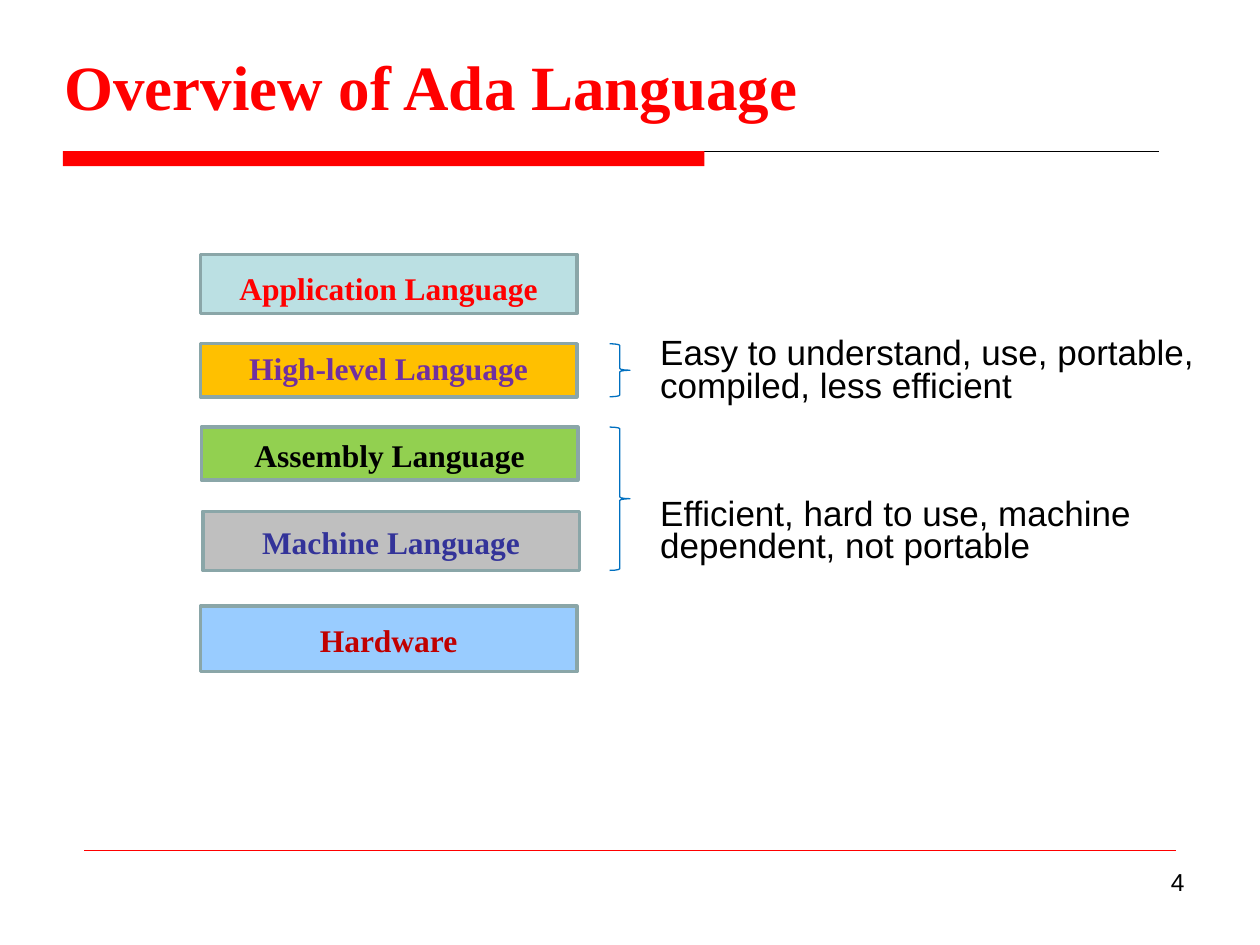
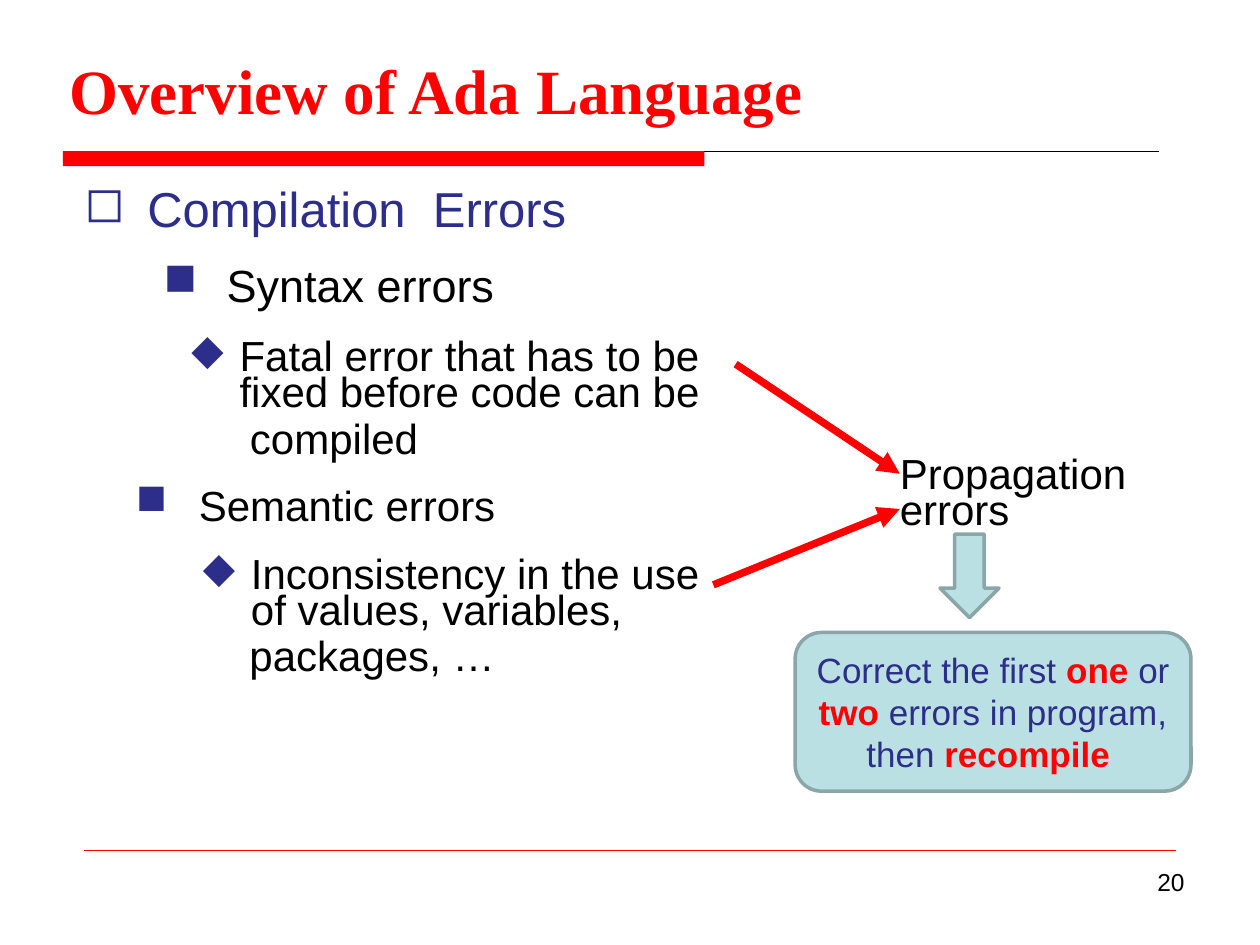
from dataclasses import dataclass
from typing import Any

import pptx
import pptx.dml.color
import pptx.enum.shapes
import pptx.enum.text
import pptx.oxml.ns
import pptx.util
from lxml import etree

Cm = pptx.util.Cm
Pt = pptx.util.Pt
Kind = pptx.enum.shapes.MSO_SHAPE
Align = pptx.enum.text.PP_ALIGN
Anchor = pptx.enum.text.MSO_ANCHOR
Box = tuple[float, float, float, float]


@dataclass(frozen=True)
class Theme:
    red: str = "FF0000"
    black: str = "000000"
    navy: str = "2D2D8A"
    aqua: str = "BBE0E3"
    edge: str = "8AA6A8"
    brace: str = "0070C0"
    sans: str = "Arial"
    serif: str = "Times New Roman"
    title: float = 36
    topic: float = 28
    head: float = 25.7
    body: float = 24
    note: float = 20
    label: float = 18
    page: float = 14


@dataclass(frozen=True)
class Para:
    """A paragraph; every second piece of its text is stressed."""
    pieces: tuple[str, ...]
    lead: float | None = None
    left: float = 0
    hang: float = 0
    mark: str = ""


@dataclass(frozen=True)
class Layer:
    name: str
    left: float
    top: float
    high: float
    fill: str
    ink: str
    lead: float


@dataclass(frozen=True)
class Item:
    box: Box
    paras: tuple[Para, ...]
    size: float
    ink: str


@dataclass(frozen=True)
class Arrow:
    start: tuple[float, float]
    end: tuple[float, float]


THEME = Theme()
WIDE = 7.59

LAYERS = (
    Layer("Application Language", 4.04, 5.13, 1.19, THEME.aqua, THEME.red, 26.3),
    Layer("High-level Language", 4.04, 6.93, 1.07, "FFC000", "7030A0", 19.2),
    Layer("Assembly Language", 4.06, 8.61, 1.07, "92D050", THEME.black, 23.3),
    Layer("Machine Language", 4.09, 10.31, 1.19, "BFBFBF", "333399", 23.1),
    Layer("Hardware", 4.04, 12.22, 1.32, "99CCFF", "C00000", 23.1),
)
SPANS = ((LAYERS[1], LAYERS[1]), (LAYERS[2], LAYERS[3]))

NOTES = (
    Item((13.31, 7.01, 10.85, 1.16),
         (Para(("Easy to understand, use, portable,",), 14.4),
          Para(("compiled, less efficient",), 18.6)), THEME.note, THEME.black),
    Item((13.31, 9.99, 10.85, 1.4),
         (Para(("Efficient, hard to use, machine",), 21.8),
          Para(("dependent, not portable",), 18)), THEME.note, THEME.black),
)


def head(words: str, mark: str) -> tuple[Para, ...]:
    return (Para((words,), 24.1, 1.27, -1.27, mark),)


def point(words: str, last: str, lead: float, left: float) -> tuple[Para, ...]:
    """A diamond point whose last line has its own indent."""
    return (Para((words,), 20.5, 0.97, -0.97, "◆"),
            Para((last,), lead, left))


ERRORS = (
    Item((1.7, 3.94, 9.83, 0.86), head("Compilation  Errors", "◻"),
         THEME.topic, THEME.navy),
    Item((3.3, 5.44, 6.71, 0.86), head("Syntax errors", "■"),
         THEME.head, THEME.black),
    Item((3.86, 6.93, 12.19, 2.39),
         point("Fatal error that has to be fixed before code can be",
               "compiled", 26.9, 1.18), THEME.body, THEME.black),
    Item((2.74, 9.83, 7.32, 0.86), head("Semantic errors", "■"),
         THEME.body, THEME.black),
    Item((4.09, 11.33, 10.74, 2.36),
         point("Inconsistency in the use of values, variables,",
               "packages, …", 26.3, 0.94), THEME.body, THEME.black),
    Item((18.14, 9.32, 6.71, 1.45),
         (Para(("Propagation errors",), 20.5),), THEME.body, THEME.black),
)
ARROWS = (
    Arrow((14.83, 7.34), (18.14, 9.55)),
    Arrow((14.38, 11.79), (18.14, 10.26)),
)
ADVICE = Para(("Correct the first ", "one ", "or ", "two ",
               "errors in program, then ", "recompile "))


def rgb(code: str) -> Any:
    return pptx.dml.color.RGBColor.from_string(code)


def tag(up: Any, name: str, **attrs: str) -> Any:
    return etree.SubElement(up, pptx.oxml.ns.qn(name), attrs)


def write(frame: Any, paras: tuple[Para, ...], *, size: float,
          ink: str = THEME.black, font: str = THEME.sans, bold: bool = False,
          align: Any = Align.LEFT, anchor: Any = Anchor.TOP) -> None:
    frame.word_wrap = True
    frame.vertical_anchor = anchor
    for num, para in enumerate(paras):
        line = frame.add_paragraph() if num else frame.paragraphs[0]
        line.alignment = align
        if para.left:
            props = line._p.get_or_add_pPr()
            props.set("marL", str(Cm(para.left)))
            props.set("indent", str(Cm(para.hang)))
            if para.mark:
                tag(tag(props, "a:buClr"), "a:srgbClr", val=THEME.navy)
                tag(props, "a:buChar", char=para.mark)
        if para.lead:
            line.line_spacing = Pt(para.lead)
        for pos, piece in enumerate(para.pieces):
            hot = pos % 2 == 1
            run = line.add_run()
            run.text = piece
            run.font.name = font
            run.font.size = Pt(size)
            run.font.bold = bold or hot
            run.font.color.rgb = rgb(THEME.red if hot else ink)


def label(slide: Any, box: Box, paras: tuple[Para, ...], *,
          inset: bool = False, **style: Any) -> None:
    frame = slide.shapes.add_textbox(*map(Cm, box)).text_frame
    if not inset:
        frame.margin_left = frame.margin_right = 0
        frame.margin_top = frame.margin_bottom = 0
    write(frame, paras, **style)


def shape(slide: Any, kind: Any, box: Box, *, fill: str = "",
          line: str = THEME.edge, width: float = 2) -> Any:
    form = slide.shapes.add_shape(kind, *map(Cm, box))
    form.shadow.inherit = False
    if fill:
        form.fill.solid()
        form.fill.fore_color.rgb = rgb(fill)
    else:
        form.fill.background()
    if width:
        form.line.color.rgb = rgb(line)
        form.line.width = Pt(width)
    else:
        form.line.fill.background()
    return form


def rule(slide: Any, start: tuple[float, float], end: tuple[float, float],
         ink: str, width: float, arrow: bool = False) -> None:
    link = slide.shapes.add_connector(
        pptx.enum.shapes.MSO_CONNECTOR.STRAIGHT, *map(Cm, start + end))
    link.line.color.rgb = rgb(ink)
    link.line.width = Pt(width)
    if arrow:
        tag(link.line._get_or_add_ln(), "a:tailEnd", type="triangle")
    tag(link._element.spPr, "a:effectLst")


def page(deck: Any, num: int, left: float, top: float) -> Any:
    """Add a slide with the shared title, band, rules and page number."""
    slide = deck.slides.add_slide(deck.slide_layouts[6])
    rule(slide, (1.27, 3.05), (23.37, 3.05), THEME.black, 0.75)
    shape(slide, Kind.RECTANGLE, (1.27, 3.05, 12.93, 0.3),
          fill=THEME.red, width=0)
    rule(slide, (1.7, 17.14), (23.7, 17.14), THEME.red, 0.25)
    label(slide, (left, top, 14.94, 1.22),
          (Para(("Overview of Ada Language",), 33.7),), size=THEME.title,
          ink=THEME.red, font=THEME.serif, bold=True)
    label(slide, (18.21, 17.35, 5.92, 1.32), (Para((str(num),)),),
          inset=True, size=THEME.page, align=Align.RIGHT)
    return slide


def items(slide: Any, group: tuple[Item, ...]) -> None:
    for item in group:
        label(slide, item.box, item.paras, size=item.size, ink=item.ink)


def levels(deck: Any) -> None:
    slide = page(deck, 4, 1.3, 1.3)
    for layer in LAYERS:
        form = shape(slide, Kind.RECTANGLE,
                     (layer.left, layer.top, WIDE, layer.high),
                     fill=layer.fill)
        write(form.text_frame, (Para((layer.name,), layer.lead),),
              size=THEME.label, ink=layer.ink, font=THEME.serif, bold=True,
              align=Align.CENTER, anchor=Anchor.MIDDLE)
    for first, last in SPANS:
        high = last.top + last.high - first.top
        shape(slide, Kind.RIGHT_BRACE, (12.29, first.top, 0.41, high),
              line=THEME.brace, width=0.75)
    items(slide, NOTES)


def errors(deck: Any) -> None:
    slide = page(deck, 20, 1.4, 1.37)
    items(slide, ERRORS)
    for arrow in ARROWS:
        rule(slide, arrow.start, arrow.end, THEME.red, 4.25, arrow=True)
    shape(slide, Kind.DOWN_ARROW, (18.95, 10.77, 1.19, 1.68), fill=THEME.aqua)
    form = shape(slide, Kind.ROUNDED_RECTANGLE, (16.03, 12.75, 7.98, 3.2),
                 fill=THEME.aqua)
    write(form.text_frame, (ADVICE,), size=THEME.note, ink=THEME.navy,
          align=Align.CENTER, anchor=Anchor.MIDDLE)


def main() -> None:
    deck = pptx.Presentation()
    deck.slide_width, deck.slide_height = Cm(25.4), Cm(19.05)
    levels(deck)
    errors(deck)
    deck.save("out.pptx")


if __name__ == "__main__":
    main()
